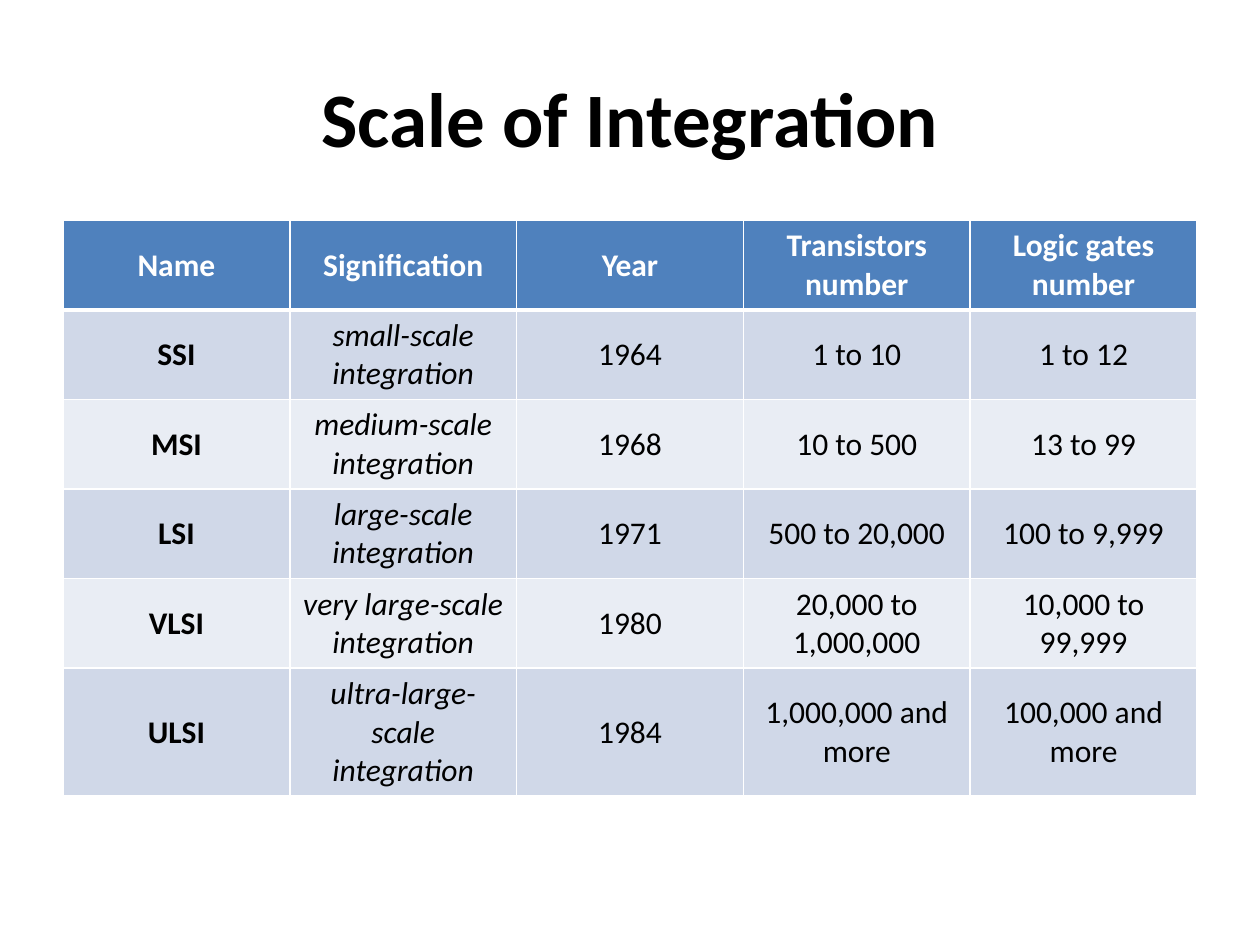
"""Build the slide that tabulates the scales of circuit integration."""
from dataclasses import astuple, dataclass

from lxml import etree
from pptx import Presentation
from pptx import util as u
from pptx.dml.color import RGBColor
from pptx.enum import text
from pptx.oxml import ns
from pptx.table import _Cell
from pptx.text.text import TextFrame

COLORS = {
    "header": "4F81BD",
    "odd": "D0D8E8",
    "even": "E9EDF4",
    "light": "FFFFFF",
    "dark": "000000",
}
FONT = "Calibri"
COLUMN_WIDTH = 129.6
ROW_HEIGHT, LAST_ROW_HEIGHT = 51, 72
THIN, THICK = 1, 3


@dataclass(frozen=True)
class Scale:
    name: str
    signification: str
    year: str
    transistors: str
    gates: str


HEADINGS = Scale("Name", "Signification", "Year", "Transistors number", "Logic gates number")
SCALES = [
    Scale("SSI", "small-scale integration", "1964", "1 to 10", "1 to 12"),
    Scale("MSI", "medium-scale integration", "1968", "10 to 500", "13 to 99"),
    Scale("LSI", "large-scale integration", "1971", "500 to 20,000", "100 to 9,999"),
    Scale("VLSI", "very large-scale integration", "1980", "20,000 to 1,000,000", "10,000 to 99,999"),
    Scale("ULSI", "ultra-large-scale integration", "1984", "1,000,000 and more", "100,000 and more"),
]


def write(frame: TextFrame, wording: str, size: float, color: str,
          bold: bool = False, italic: bool = False) -> None:
    frame.text = wording
    paragraph = frame.paragraphs[0]
    paragraph.alignment = text.PP_ALIGN.CENTER
    font = paragraph.runs[0].font
    font.name, font.size = FONT, u.Pt(size)
    font.bold, font.italic = bold, italic
    font.color.rgb = RGBColor.from_string(COLORS[color])


def draw_borders(cell: _Cell, top: float, bottom: float) -> None:
    properties = cell._tc.get_or_add_tcPr()
    widths = {"a:lnL": THIN, "a:lnR": THIN, "a:lnT": top, "a:lnB": bottom}
    for side, width in widths.items():
        line = etree.SubElement(properties, ns.qn(side), w=str(u.Pt(width)))
        fill = etree.SubElement(line, ns.qn("a:solidFill"))
        etree.SubElement(fill, ns.qn("a:srgbClr"), val=COLORS["light"])


def draw_cell(cell: _Cell, wording: str, row: int, column: int) -> None:
    is_header = row == 0
    band = "header" if is_header else "odd" if row % 2 else "even"
    draw_borders(cell, THICK if row == 1 else THIN, THICK if is_header else THIN)
    cell.fill.solid()
    cell.fill.fore_color.rgb = RGBColor.from_string(COLORS[band])
    cell.vertical_anchor = text.MSO_ANCHOR.MIDDLE
    write(cell.text_frame, wording, 18, "light" if is_header else "dark",
          bold=is_header or column == 0, italic=not is_header and column == 1)


def main() -> None:
    deck = Presentation()
    deck.slide_width, deck.slide_height = u.Pt(720), u.Pt(540)
    slide = deck.slides.add_slide(deck.slide_layouts[5])

    title = slide.shapes.title
    title.left, title.top, title.width, title.height = map(u.Pt, (36, 21.6, 648, 90))
    title.text_frame.vertical_anchor = text.MSO_ANCHOR.MIDDLE
    write(title.text_frame, "Scale of Integration", 44, "dark", bold=True)

    records = [astuple(scale) for scale in (HEADINGS, *SCALES)]
    heights = [ROW_HEIGHT] * len(SCALES) + [LAST_ROW_HEIGHT]
    column_count = len(records[0])
    scales = slide.shapes.add_table(
        len(records), column_count, u.Pt(36), u.Pt(126),
        u.Pt(COLUMN_WIDTH * column_count), u.Pt(sum(heights))).table
    for column in scales.columns:
        column.width = u.Pt(COLUMN_WIDTH)
    for row, (record, height) in enumerate(zip(records, heights)):
        scales.rows[row].height = u.Pt(height)
        for column, wording in enumerate(record):
            draw_cell(scales.cell(row, column), wording, row, column)

    deck.save("out.pptx")


if __name__ == "__main__":
    main()
